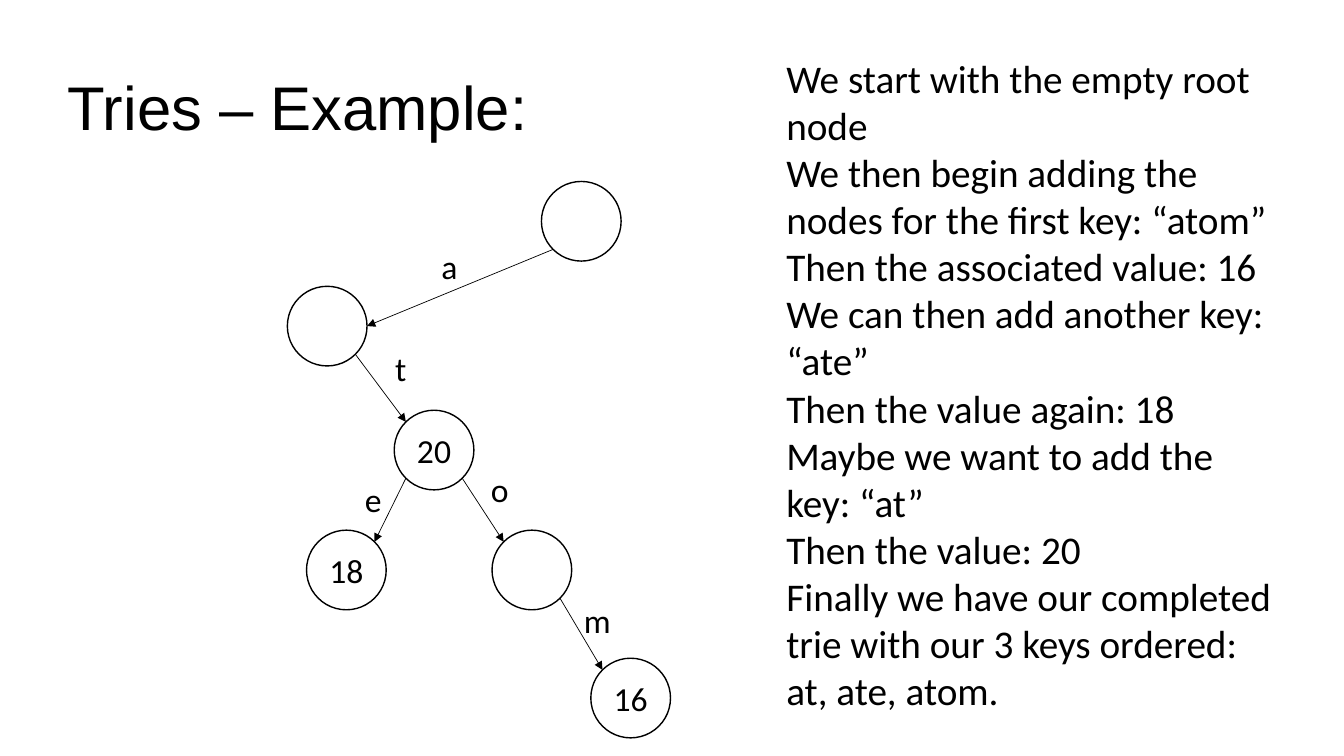
import math
from dataclasses import dataclass

from lxml import etree
from pptx import Presentation
from pptx import util as u
from pptx.dml import color
from pptx.enum import shapes, text
from pptx.oxml import ns


@dataclass(frozen=True)
class Theme:
    """Colours, fonts, type sizes and line widths."""
    ink: str = "000000"
    paper: str = "FFFFFF"
    title_font: str = "Arial"
    body_font: str = "Calibri"
    title_size: int = 44
    body_size: int = 28
    label_size: int = 24
    outline: float = 1
    edge: float = 0.5


class TrieSlide:
    """Draws on one slide with a grid of tenth-inch columns and rows."""

    CELL = u.Inches(0.1)
    NODE = 7.9

    def __init__(self, deck, theme):
        """Add a title-only page to the deck."""
        self.theme = theme
        self.page = deck.slides.add_slide(deck.slide_layouts[5])

    def grid(self, *cells):
        """Turn grid cells into lengths."""
        return [round(cell * self.CELL) for cell in cells]

    def set_text(self, box, lines, font, size, align=text.PP_ALIGN.LEFT, **frame_format):
        """Fill a box with formatted paragraphs."""
        frame = box.text_frame
        frame.text = "\n".join(lines)
        for name, value in frame_format.items():
            setattr(frame, name, value)
        for para in frame.paragraphs:
            para.alignment = align
            for span in para.runs:
                for name, value in {"name": font, "size": u.Pt(size)}.items():
                    setattr(span.font, name, value)
                span.font.color.rgb = color.RGBColor.from_string(self.theme.ink)

    def set_block(self, box, lines, font, size):
        """Set wrapped text from the top in a box that fits it."""
        self.set_text(box, lines, font, size, word_wrap=True,
                      auto_size=text.MSO_AUTO_SIZE.SHAPE_TO_FIT_TEXT,
                      vertical_anchor=text.MSO_ANCHOR.TOP)

    def title(self, wording, *place):
        """Place and format the title."""
        box = self.page.shapes.title
        for name, value in zip(("left", "top", "width", "height"), self.grid(*place)):
            setattr(box, name, value)
        self.set_block(box, [wording], self.theme.title_font, self.theme.title_size)

    def text(self, lines, size, *place):
        """Add a text box."""
        box = self.page.shapes.add_textbox(*self.grid(*place))
        self.set_block(box, lines, self.theme.body_font, size)

    def node(self, left, top, value):
        """Add a round trie node holding its value."""
        place = self.grid(left, top, self.NODE, self.NODE)
        circle = self.page.shapes.add_shape(shapes.MSO_SHAPE.OVAL, *place)
        circle.shadow.inherit = False
        circle.fill.solid()
        circle.fill.fore_color.rgb = color.RGBColor.from_string(self.theme.paper)
        self.stroke(circle.line, self.theme.outline)
        if value:
            self.set_text(circle, [value], self.theme.body_font, self.theme.label_size,
                          text.PP_ALIGN.CENTER, margin_left=0, margin_right=0,
                          vertical_anchor=text.MSO_ANCHOR.MIDDLE)

    def stroke(self, line, width):
        """Set a line's colour and width."""
        line.color.rgb = color.RGBColor.from_string(self.theme.ink)
        line.width = u.Pt(width)

    def rim(self, corner, angle):
        """Find the point on a node's rim at a clockwise angle."""
        radius, turn = self.NODE / 2, math.radians(angle)
        return (corner[0] + radius * (1 + math.cos(turn)),
                corner[1] + radius * (1 + math.sin(turn)))

    def arrow(self, start, end):
        """Add an arrow between two grid points."""
        link = self.page.shapes.add_connector(
            shapes.MSO_CONNECTOR.STRAIGHT, *self.grid(*start, *end))
        self.stroke(link.line, self.theme.edge)
        outline = link._element.spPr.find(ns.qn("a:ln"))
        etree.SubElement(outline, ns.qn("a:tailEnd"), type="triangle")
        etree.SubElement(link._element.spPr, ns.qn("a:effectLst"))


NODES = {
    "": (53.7, 18, ""),
    "a": (28.5, 28.4, ""),
    "at": (39.1, 40.7, "20"),
    "ate": (30.4, 52.6, "18"),
    "ato": (48.8, 52.6, ""),
    "atom": (58.6, 65.3, "16"),
}
EDGES = {
    "a": (135, 0, 42.8, 23.9, 3.3),
    "at": (45, 225, 38.2, 34, 4.1),
    "ate": (135, 315, 35.2, 47, 2.5),
    "ato": (45, 225, 47.7, 46, 2.4),
    "atom": (45, 225, 57, 59, 1.9),
}
STEPS = [
    "We start with the empty root node",
    "We then begin adding the nodes for the first key: “atom”",
    "Then the associated value: 16",
    "We can then add another key: “ate”",
    "Then the value again: 18",
    "Maybe we want to add the key: “at”",
    "Then the value: 20",
    "Finally we have our completed trie with our 3 keys ordered: at, ate, atom.",
]


def main():
    """Build and save the deck."""
    deck = Presentation()
    deck.slide_width, deck.slide_height = u.Inches(13.33), u.Inches(7.5)
    theme = Theme()
    slide = TrieSlide(deck, theme)
    slide.title("Tries – Example:", 5.7, 6.3, 48, 8.4)
    for node in NODES.values():
        slide.node(*node)
    for key, (leave, arrive, left, top, width) in EDGES.items():
        slide.arrow(slide.rim(NODES[key[:-1]], leave), slide.rim(NODES[key], arrive))
        slide.text([key[-1]], theme.label_size, left, top, width, 5)
    slide.text(STEPS, theme.body_size, 77, 4.9, 50.2, 67)
    deck.save("out.pptx")


if __name__ == "__main__":
    main()
